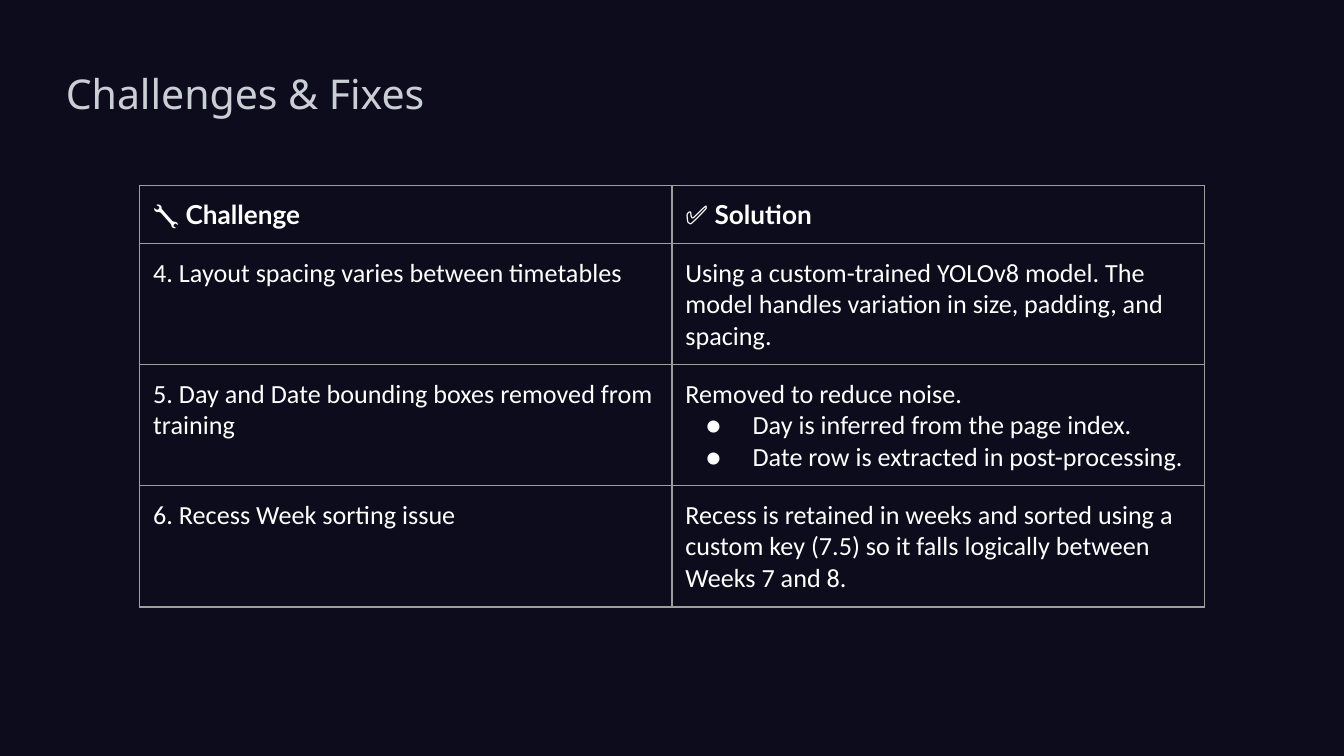
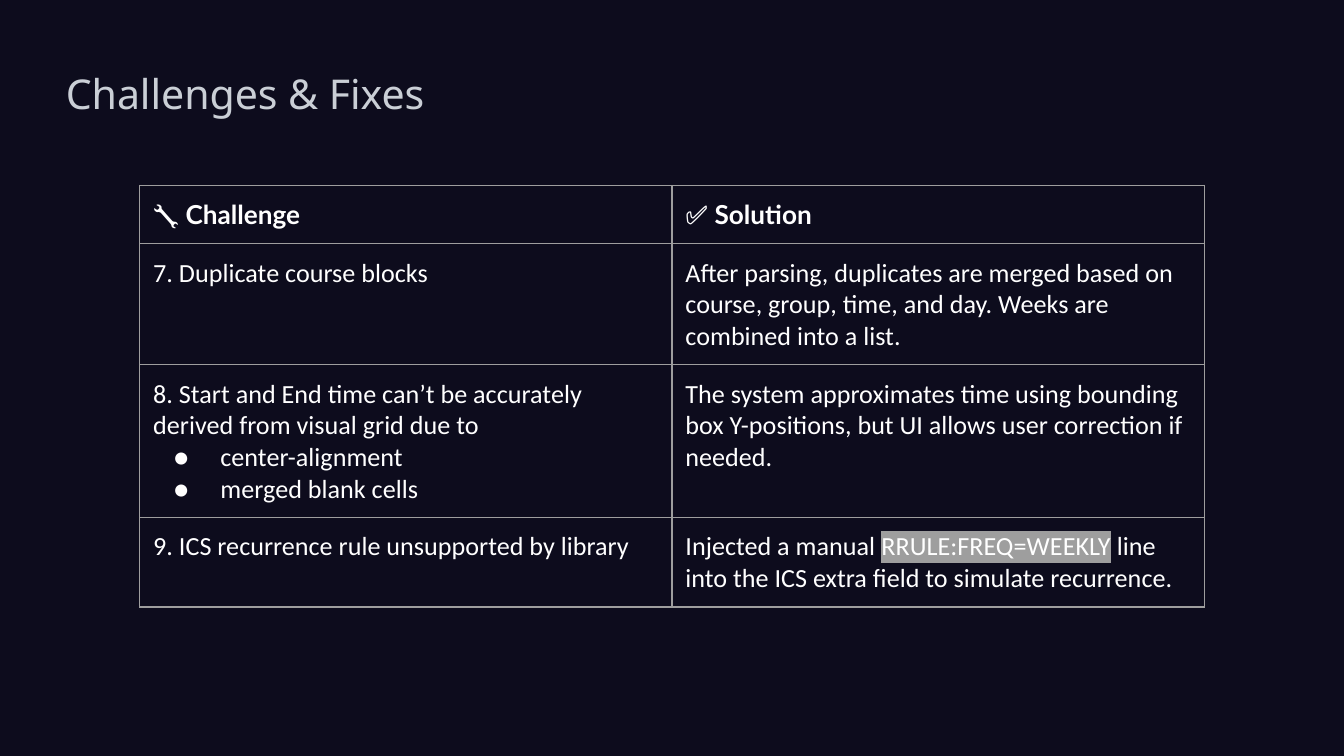
"""Build two slides of challenge and solution tables on a dark background."""
from dataclasses import dataclass

import lxml.etree
import pptx
import pptx.dml.color
import pptx.enum.text
import pptx.oxml.ns
import pptx.util

Inches = pptx.util.Inches
Pt = pptx.util.Pt
RGB = pptx.dml.color.RGBColor
qn = pptx.oxml.ns.qn


@dataclass(frozen=True)
class Theme:
    background: str = "0D0C1D"
    title: str = "CACFD6"
    text: str = "FFFFFF"
    grid: str = "9E9E9E"
    title_font: str = "Noto Sans"
    header_font: str = "Lato"
    body_font: str = "Calibri"
    title_size: int = 22
    table_size: int = 14
    grid_width: float = 0.75


@dataclass(frozen=True)
class Entry:
    text: str
    bullets: tuple[str, ...] = ()
    marked: str = ""


@dataclass(frozen=True)
class Fix:
    challenge: Entry
    solution: Entry


THEME = Theme()
HEADER = Fix(Entry("🔧 Challenge"), Entry("✅ Solution"))
FIXES_BY_SLIDE = (
    (
        Fix(
            Entry("4. Layout spacing varies between timetables"),
            Entry("Using a custom-trained YOLOv8 model. The model handles "
                  "variation in size, padding, and spacing."),
        ),
        Fix(
            Entry("5. Day and Date bounding boxes removed from training"),
            Entry("Removed to reduce noise.",
                  ("Day is inferred from the page index.",
                   "Date row is extracted in post-processing.")),
        ),
        Fix(
            Entry("6. Recess Week sorting issue"),
            Entry("Recess is retained in weeks and sorted using a custom key "
                  "(7.5) so it falls logically between Weeks 7 and 8."),
        ),
    ),
    (
        Fix(
            Entry("7. Duplicate course blocks"),
            Entry("After parsing, duplicates are merged based on course, "
                  "group, time, and day. Weeks are combined into a list."),
        ),
        Fix(
            Entry("8. Start and End time can’t be accurately derived from "
                  "visual grid due to",
                  ("center-alignment", "merged blank cells")),
            Entry("The system approximates time using bounding box "
                  "Y-positions, but UI allows user correction if needed."),
        ),
        Fix(
            Entry("9. ICS recurrence rule unsupported by library"),
            Entry("Injected a manual RRULE:FREQ=WEEKLY line into the ICS "
                  "extra field to simulate recurrence.",
                  marked="RRULE:FREQ=WEEKLY"),
        ),
    ),
)


def style_run(run, font: str, size: int, color: str, bold: bool = False) -> None:
    """Set the font, size, colour and weight of a run."""
    run.font.name = font
    run.font.size = Pt(size)
    run.font.bold = bold
    run.font.color.rgb = RGB.from_string(color)


def add_color(parent, tag: str, color: str):
    """Append an element that holds one colour."""
    holder = lxml.etree.SubElement(parent, qn(tag))
    lxml.etree.SubElement(holder, qn("a:srgbClr"), val=color)
    return holder


def highlight(run) -> None:
    """Mark a styled run with the grid colour."""
    properties = run.font._element
    mark = add_color(properties, "a:highlight", THEME.grid)
    properties.find(qn("a:solidFill")).addnext(mark)


def add_bullet(paragraph) -> None:
    """Give a paragraph a round bullet with a hanging indent."""
    properties = paragraph._p.get_or_add_pPr()
    properties.set("marL", str(Inches(0.5)))
    properties.set("indent", str(Inches(-0.35)))
    add_color(properties, "a:buClr", THEME.text)
    lxml.etree.SubElement(
        properties, qn("a:buSzPts"), val=str(THEME.table_size * 100))
    lxml.etree.SubElement(
        properties, qn("a:buFont"), typeface=THEME.body_font)
    lxml.etree.SubElement(properties, qn("a:buChar"), char="●")


def draw_borders(cell) -> None:
    """Draw thin lines on all four sides of a cell."""
    properties = cell._tc.get_or_add_tcPr()
    for side in ("a:lnL", "a:lnR", "a:lnT", "a:lnB"):
        line = lxml.etree.SubElement(
            properties, qn(side), w=str(Pt(THEME.grid_width)))
        add_color(line, "a:solidFill", THEME.grid)


def fill_cell(cell, entry: Entry, is_header: bool) -> None:
    """Write an entry into a cell and style it."""
    draw_borders(cell)
    cell.fill.background()
    cell.margin_left = cell.margin_right = Inches(0.1)
    cell.margin_top = cell.margin_bottom = Inches(0.1)
    cell.text_frame.text = "\n".join((entry.text, *entry.bullets))
    lead, *bullets = cell.text_frame.paragraphs
    if entry.marked:
        lead.text = ""
        for part in entry.text.partition(entry.marked):
            lead.add_run().text = part
    for bullet in bullets:
        add_bullet(bullet)
    font = THEME.header_font if is_header else THEME.body_font
    for paragraph in (lead, *bullets):
        for run in paragraph.runs:
            style_run(run, font, THEME.table_size, THEME.text, is_header)
            if run.text == entry.marked:
                highlight(run)


def add_title(slide, text: str) -> None:
    """Add the slide title."""
    title = slide.shapes.add_textbox(
        Inches(0.44), Inches(0.38), Inches(8.37), Inches(0.62))
    frame = title.text_frame
    frame.word_wrap = True
    frame.vertical_anchor = pptx.enum.text.MSO_ANCHOR.MIDDLE
    frame.margin_left = frame.margin_right = Inches(0.05)
    frame.margin_top = frame.margin_bottom = Inches(0.02)
    frame.text = text
    style_run(frame.paragraphs[0].runs[0], THEME.title_font,
              THEME.title_size, THEME.title)


def add_fixes_table(slide, fixes: tuple[Fix, ...]) -> None:
    """Add the table of challenges and solutions."""
    rows = (HEADER, *fixes)
    table = slide.shapes.add_table(
        len(rows), 2, Inches(1.04), Inches(1.38),
        Inches(2 * 3.96), Inches(len(rows) * 0.42)).table
    table.first_row = False
    table.horz_banding = False
    for index, fix in enumerate(rows):
        for column, entry in enumerate((fix.challenge, fix.solution)):
            fill_cell(table.cell(index, column), entry, fix is HEADER)


def main() -> None:
    """Build and save the presentation."""
    deck = pptx.Presentation()
    deck.slide_width = Inches(10)
    deck.slide_height = Inches(10 * 9 / 16)
    for fixes in FIXES_BY_SLIDE:
        slide = deck.slides.add_slide(deck.slide_layouts[6])
        background = slide.background.fill
        background.solid()
        background.fore_color.rgb = RGB.from_string(THEME.background)
        add_title(slide, "Challenges & Fixes")
        add_fixes_table(slide, fixes)
    deck.save("out.pptx")


if __name__ == "__main__":
    main()
